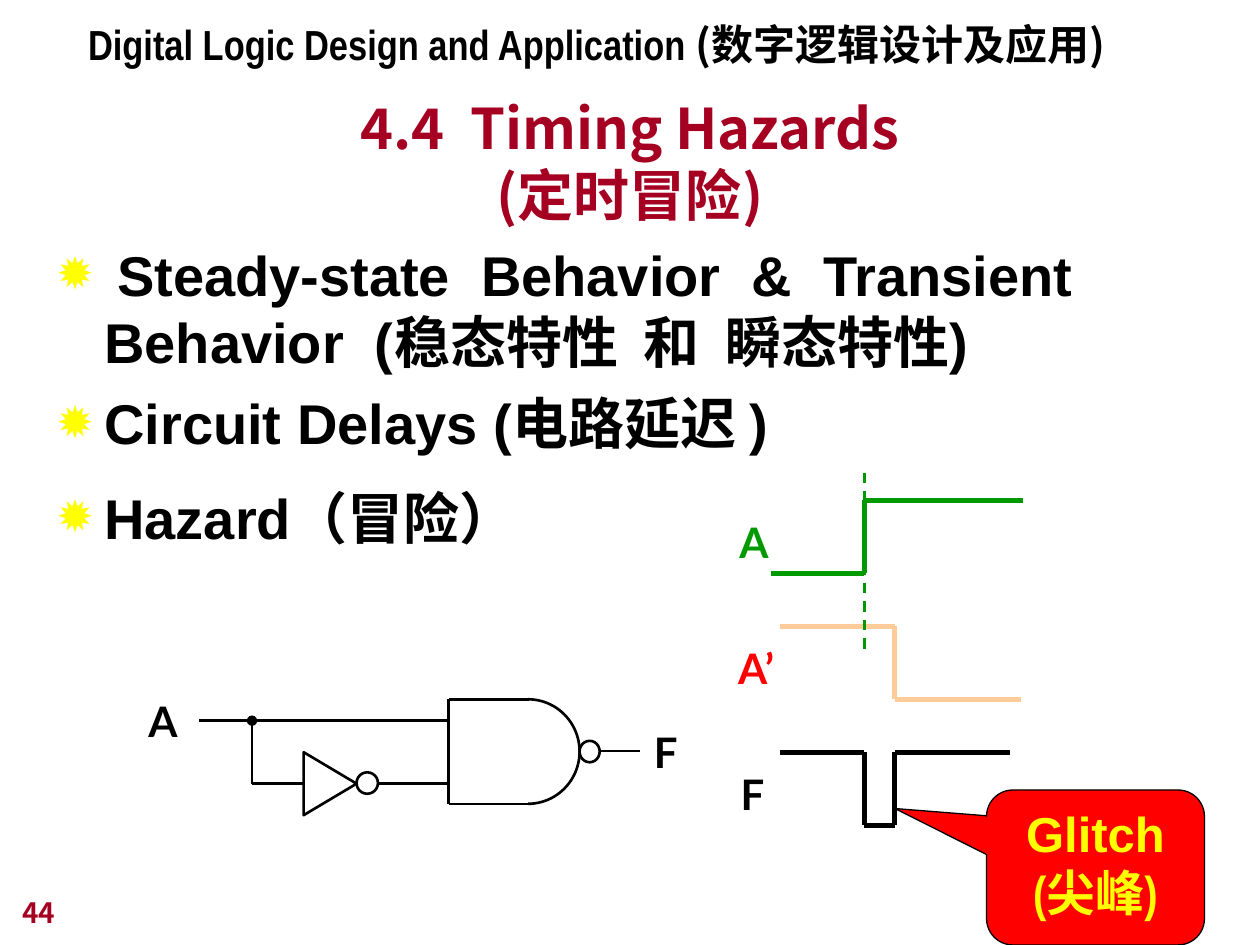
from pptx import Presentation
from pptx.dml.color import RGBColor
from pptx.enum.dml import MSO_LINE
from pptx.enum.shapes import MSO_CONNECTOR, MSO_SHAPE
from pptx.enum.text import MSO_ANCHOR, PP_ALIGN
from pptx.oxml.ns import qn
from pptx.util import Inches, Pt
from lxml.etree import SubElement

COLORS = {
    "ink": "000000", "maroon": "A50021", "green": "009900", "peach": "FFCC99",
    "red": "FF0000", "yellow": "FFFF00",
}
SANS, NARROW, CJK, LABEL = "Arial", "Arial Narrow", "Noto Sans CJK JP", "Lato"


def rgb(name):
    return RGBColor.from_string(COLORS[name])


class SlideBuilder:
    def __init__(self, slide):
        self.slide = slide
        self.shapes = slide.shapes

    def run(self, paragraph, text, size, font, color="ink"):
        run = paragraph.add_run()
        run.text = text
        run.font.size, run.font.name, run.font.bold = Pt(size), font, True
        run.font.color.rgb = rgb(color)

    def text(self, left, top, width, height, wrap=True, anchor=MSO_ANCHOR.TOP):
        box = self.shapes.add_textbox(*map(Inches, (left, top, width, height)))
        frame = box.text_frame
        frame.word_wrap, frame.vertical_anchor = wrap, anchor
        return frame

    def label(self, text, left, top, width, color="ink"):
        frame = self.text(left, top, width, 0.5, wrap=False)
        self.run(frame.paragraphs[0], text, 24, LABEL, color)

    def bullet(self, paragraph, char="✹"):
        props = paragraph._p.get_or_add_pPr()
        props.set("marL", str(Inches(0.38)))
        props.set("indent", str(-Inches(0.38)))
        color = SubElement(props, qn("a:buClr"))
        SubElement(color, qn("a:srgbClr"), val=COLORS["yellow"])
        SubElement(props, qn("a:buSzPct"), val="80000")
        SubElement(props, qn("a:buFont"), typeface=SANS)
        SubElement(props, qn("a:buChar"), char=char)

    def line(self, start, end, color="ink", width=1.5, dash=None, dot=False):
        line = self.shapes.add_connector(
            MSO_CONNECTOR.STRAIGHT, *map(Inches, (*start, *end)))
        line.line.color.rgb, line.line.width = rgb(color), Pt(width)
        if dash:
            line.line.dash_style = dash
        if dot:
            SubElement(line.line._get_or_add_ln(), qn("a:tailEnd"), type="oval")
        SubElement(line._element.spPr, qn("a:effectLst"))

    def trace(self, points, color="ink", width=3):
        for start, end in zip(points, points[1:]):
            self.line(start, end, color, width)

    def shape(self, kind, left, top, width, height, fill=None, weight=1.5):
        shape = self.shapes.add_shape(kind, *map(Inches, (left, top, width, height)))
        shape.shadow.inherit = False
        shape.line.color.rgb, shape.line.width = rgb("ink"), Pt(weight)
        if fill:
            shape.fill.solid()
            shape.fill.fore_color.rgb = rgb(fill)
        else:
            shape.fill.background()
        return shape


def main():
    prs = Presentation()
    prs.slide_width, prs.slide_height = Inches(10), Inches(7.5)
    page = SlideBuilder(prs.slides.add_slide(prs.slide_layouts[6]))

    # Title
    title = page.text(0.75, 1.03, 8.5, 0.83, anchor=MSO_ANCHOR.BOTTOM).paragraphs[0]
    title.alignment = PP_ALIGN.CENTER
    page.run(title, "4.4  Timing Hazards", 32, CJK, "maroon")
    title.add_line_break()
    page.run(title, "(定时冒险)", 32, CJK, "maroon")

    # Topics
    topics = page.text(0.35, 1.86, 9.06, 2.99)
    items = [
        [(" ", NARROW),
         ("Steady-state  Behavior  &  Transient  Behavior  (稳态特性  和  瞬态特性)", SANS)],
        [("Circuit Delays (电路延迟 )", SANS)],
        [("Hazard（冒险）", SANS)],
    ]
    for i, runs in enumerate(items):
        topic = topics.add_paragraph() if i else topics.paragraphs[0]
        page.bullet(topic)
        if i:
            topic.space_before = Pt(8)
        for text, font in runs:
            page.run(topic, text, 32, font)
    topic.line_spacing = 1.2

    # Timing diagram: A rises, A' falls one inverter delay later, F glitches
    rise, fall, swing = 6.86, 7.1, 0.58
    a_high, inv_high, f_high = 3.97, 4.97, 5.97
    page.label("A", 5.77, 4.05, 0.43, "green")
    page.trace([(6.12, a_high + swing), (rise, a_high + swing),
                (rise, a_high), (8.12, a_high)], "green")
    page.label("A’", 5.76, 5.05, 0.5, "red")
    page.trace([(6.19, inv_high), (fall, inv_high),
                (fall, inv_high + swing), (8.1, inv_high + swing)], "peach")
    page.label("F", 5.78, 6.05, 0.38)
    page.trace([(6.19, f_high), (rise, f_high), (rise, f_high + swing),
                (fall, f_high + swing), (fall, f_high), (8.02, f_high)])
    page.line((rise, 3.75), (rise, 5.17), "green", dash=MSO_LINE.DASH)

    # NAND gate
    gate_left, gate_top, gate_bottom = 3.56, 5.55, 6.38
    page.trace([(4.2, gate_top), (gate_left, gate_top),
                (gate_left, gate_bottom), (4.2, gate_bottom)], width=1.5)
    nose = page.shape(MSO_SHAPE.ARC, 3.78, gate_top, 0.82, gate_bottom - gate_top)
    # Angles in units of 100000/60000 of a degree: from 270 to 90 degrees
    nose.adjustments[0], nose.adjustments[1] = 162, 54
    page.shape(MSO_SHAPE.OVAL, 4.6, 5.88, 0.16, 0.17)

    # Inverter
    inverter = page.shape(MSO_SHAPE.ISOSCELES_TRIANGLE, 2.37, 6.01, 0.5, 0.42)
    inverter.rotation = 90
    page.shape(MSO_SHAPE.OVAL, 2.83, 6.13, 0.17, 0.17)

    # Wires
    direct, inverted, branch = 5.72, 6.22, 2
    page.line((gate_left, direct), (1.58, direct))
    page.line((gate_left, inverted), (3, inverted))
    page.line((2.42, inverted), (branch, inverted))
    page.line((branch, inverted), (branch, direct), dot=True)
    page.line((4.76, 5.96), (5.08, 5.96))
    page.label("A", 1.08, 5.47, 0.43)
    page.label("F", 5.09, 5.72, 0.38)

    # Glitch callout
    callout = page.shape(MSO_SHAPE.ROUNDED_RECTANGULAR_CALLOUT,
                         7.83, 6.27, 1.73, 1.23, "red", 0.75)
    for i, value in enumerate((-0.92, -0.38, 0.17)):
        callout.adjustments[i] = value
    glitch = callout.text_frame
    glitch.word_wrap, glitch.vertical_anchor = True, MSO_ANCHOR.TOP
    for i, (text, font) in enumerate((("Glitch", SANS), ("(尖峰)", NARROW))):
        paragraph = glitch.add_paragraph() if i else glitch.paragraphs[0]
        paragraph.alignment = PP_ALIGN.CENTER
        page.run(paragraph, text, 28, font, "yellow")

    # Course header and page number
    course = page.text(0.6, 0.1, 8.41, 0.5).paragraphs[0]
    page.run(course, "Digital Logic Design and Application ", 24, NARROW)
    page.run(course, "(数字逻辑设计及应用)", 24, CJK)
    number = page.text(0.08, 6.92, 2.08, 0.5, anchor=MSO_ANCHOR.BOTTOM)
    page.run(number.paragraphs[0], "44", 16, CJK, "maroon")

    prs.save("out.pptx")


if __name__ == "__main__":
    main()
